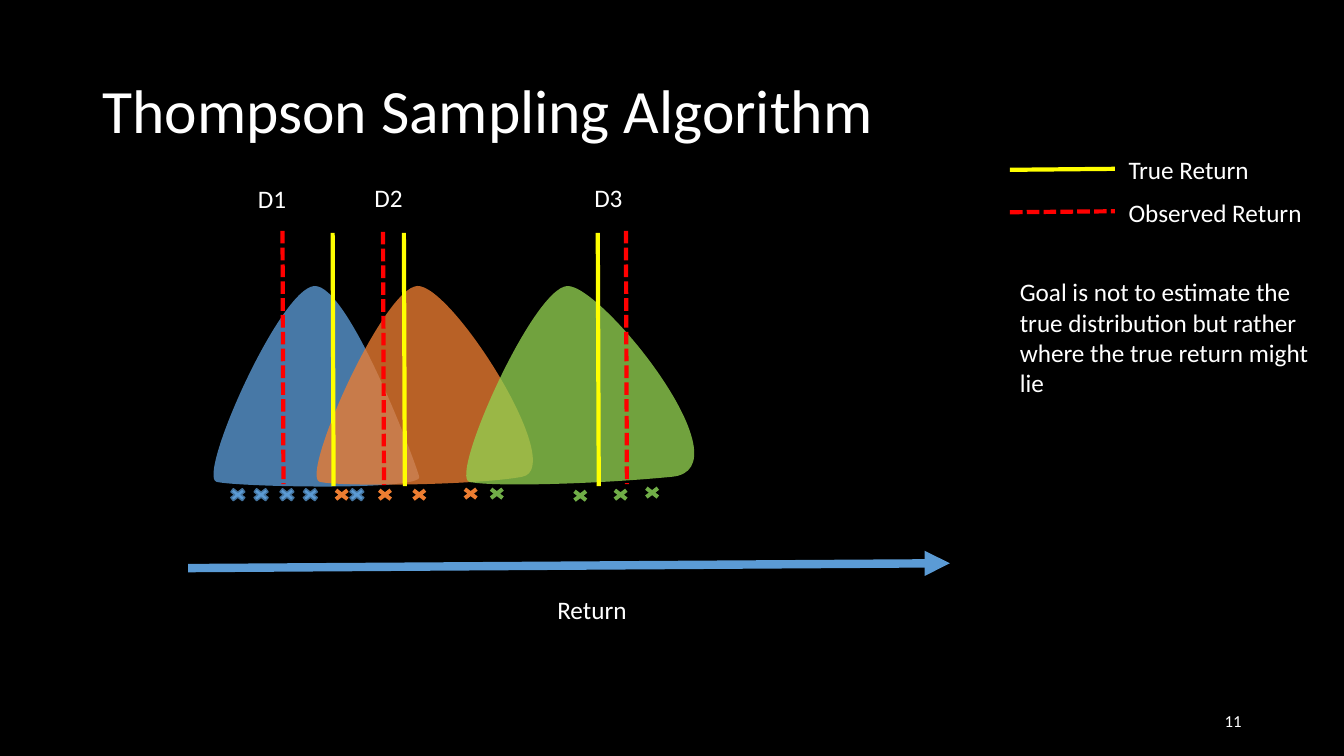
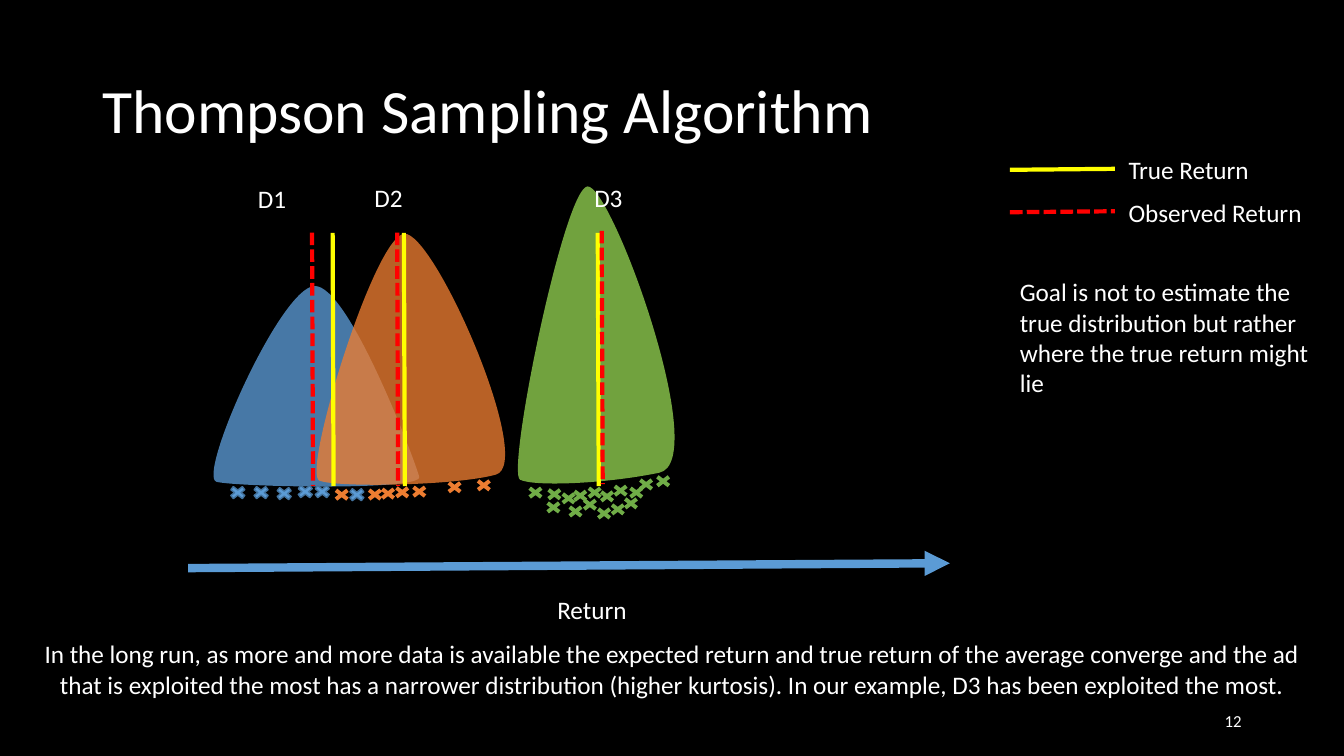
from dataclasses import dataclass
from itertools import pairwise

from lxml.etree import SubElement
from pptx import Presentation
from pptx.dml.color import RGBColor
from pptx.enum.dml import MSO_LINE
from pptx.enum.shapes import MSO_CONNECTOR, MSO_SHAPE
from pptx.enum.text import MSO_ANCHOR, PP_ALIGN
from pptx.oxml.ns import qn
from pptx.util import Pt

COLORS = {
    "background": "000000",
    "text": "FFFFFF",
    "D1": "5B9BD5",
    "D1 outline": "43739E",
    "D2": "ED7D31",
    "D3": "70AD47",
    "D3 hill": "92D050",
    "axis": "5B9BD5",
    "true": "FFFF00",
    "observed": "FF0000",
}
FONT = "Calibri"
HILL_OPACITY = 78
EXTENT_STEPS = 40
CROSS_WIDTH, CROSS_HEIGHT = 15.8, 12.2

TITLE = "Thompson Sampling Algorithm"
GOAL = ("Goal is not to estimate the true distribution but rather "
        "where the true return might lie")
CONCLUSION = (
    "In the long run, as more and more data is available the expected return "
    "and true return of the average converge and the ad that is exploited the "
    "most has a narrower distribution (higher kurtosis). In our example, D3 "
    "has been exploited the most."
)
LABELS = {"D1": (177.1, 127.4), "D2": (260.4, 126.7), "D3": (417.4, 126.7)}
TRUE_RETURNS = (237.6, 288.5, 427)
LEGEND = (("True Return", "true", 106.6, 121.3),
          ("Observed Return", "observed", 137.1, 151.6))


@dataclass
class Stage:
    """State of the three distributions after some rounds of sampling.

    A hill is three smooth nodes (left foot, peak, right foot), each given as
    x, y and the offset of its outgoing curve handle.
    """
    number: str
    hills: dict
    samples: dict
    observed: tuple
    conclusion: str = ""


D1_HILL = ((154.8, 344.2, -14.6, -3.6), (224.6, 204.3, 24.5, -1.4),
           (299.5, 340.6, 2.5, 10.1))

STAGES = (
    Stage(
        number="11",
        hills={
            "D1": D1_HILL,
            "D2": ((228.4, 344.2, -14.6, -3.6), (298.1, 204.3, 24.5, -1.4),
                   (373, 340.6, -33.1, 6.1)),
            "D3": ((335.3, 344.2, -14.6, -3.6), (405.2, 204.3, 24.5, -1.4),
                   (480, 340.6, -55.6, 5.4)),
        },
        samples={
            "D1": ((162, 347.3), (178.6, 347.3), (197.1, 347.3),
                   (213.8, 347.3), (247, 347.3)),
            "D2": ((236.2, 347.3), (267.1, 347.3), (291.6, 347.3),
                   (328.3, 346.5)),
            "D3": ((347, 346.5), (406.6, 348), (435.4, 347.3),
                   (457.9, 345.8)),
        },
        observed=((201.8, 164.9), (273.6, 165.6), (447.1, 164.9)),
    ),
    Stage(
        number="12",
        hills={
            "D1": D1_HILL,
            "D2": ((228.2, 343.4, -13, -5), (288.7, 167, 21.4, -2.2),
                   (354.2, 339.1, -28.8, 7.9)),
            "D3": ((371.5, 342.7, -10.1, -5), (419.6, 133.2, 16.9, -2.2),
                   (470.9, 337.7, -38.2, 7.9)),
        },
        samples={
            "D1": ((162, 345.8), (178.6, 345.8), (195.1, 346.5),
                   (210.2, 345.1), (222.3, 345.1), (247, 347.3)),
            "D2": ((236.2, 347.3), (259.9, 347.2), (269.3, 346.5),
                   (279.4, 345.6), (291.6, 345.1), (316.8, 342),
                   (337.7, 340.6)),
            "D3": ((374.6, 345.8), (388.1, 347), (398.2, 349.9),
                   (406.6, 348), (416.9, 345.8), (425.7, 348.5),
                   (435.4, 344.4), (446.6, 345.8), (453.6, 340),
                   (465.8, 337.7), (442.8, 353.5), (433.4, 357.8),
                   (423.6, 360.7), (413.5, 354.4), (403.2, 359.3),
                   (387.4, 356.4)),
        },
        observed=((222.9, 166.1), (283.7, 166.1), (429.8, 164.9)),
        conclusion=CONCLUSION,
    ),
)


def color(name):
    return RGBColor.from_string(COLORS[name])


def add_text(slide, text, left, top, width, height, size=18,
             align=PP_ALIGN.LEFT, anchor=MSO_ANCHOR.TOP, line_spacing=1.0):
    box = slide.shapes.add_textbox(Pt(left), Pt(top), Pt(width), Pt(height))
    frame = box.text_frame
    frame.word_wrap = True
    frame.vertical_anchor = anchor
    paragraph = frame.paragraphs[0]
    paragraph.alignment = align
    paragraph.line_spacing = line_spacing
    run = paragraph.add_run()
    run.text = text
    run.font.name = FONT
    run.font.size = Pt(size)
    run.font.color.rgb = color("text")


def add_line(slide, start, end, color_name, width=3, arrow=False):
    connector = slide.shapes.add_connector(
        MSO_CONNECTOR.STRAIGHT, *(Pt(value) for value in (*start, *end)))
    line = connector.line
    line.color.rgb = color(color_name)
    line.width = Pt(width)
    if color_name == "observed":
        line.dash_style = MSO_LINE.SQUARE_DOT
    properties = connector.element.spPr
    if arrow:
        SubElement(properties.find(qn("a:ln")), qn("a:tailEnd"),
                   type="triangle")
    SubElement(properties, qn("a:effectLst"))


def cubic_controls(start, end):
    """Return the four control points between two smooth nodes."""
    x0, y0, dx0, dy0 = start
    x3, y3, dx3, dy3 = end
    return (x0, y0), (x0 + dx0, y0 + dy0), (x3 - dx3, y3 - dy3), (x3, y3)


def curve_extent(curves, axis):
    """Return the lowest and highest coordinate that the curves reach."""
    values = []
    for curve in curves:
        a, b, c, d = (point[axis] for point in curve)
        for step in range(EXTENT_STEPS + 1):
            t = step / EXTENT_STEPS
            s = 1 - t
            values.append(a * s**3 + 3 * b * s * s * t
                          + 3 * c * s * t * t + d * t**3)
    return min(values), max(values)


def bend_outline(shape, curves):
    """Replace the straight sides of a freeform by cubic curves."""
    left, right = curve_extent(curves, 0)
    top, bottom = curve_extent(curves, 1)
    shape.left, shape.top = Pt(left), Pt(top)
    shape.width, shape.height = Pt(right - left), Pt(bottom - top)
    outline = next(shape.element.iter(qn("a:path")))
    outline.set("w", str(shape.width))
    outline.set("h", str(shape.height))
    for command in list(outline):
        outline.remove(command)

    def add_command(tag, points):
        command = SubElement(outline, qn(tag))
        for x, y in points:
            SubElement(command, qn("a:pt"),
                       x=str(Pt(x - left)), y=str(Pt(y - top)))

    add_command("a:moveTo", curves[0][:1])
    for curve in curves:
        add_command("a:cubicBezTo", curve[1:])
    add_command("a:close", ())


def add_hill(slide, nodes, color_name):
    corners = [(Pt(x), Pt(y)) for x, y, _, _ in nodes]
    builder = slide.shapes.build_freeform(*corners[0])
    builder.add_line_segments(corners[1:], close=True)
    hill = builder.convert_to_shape()
    bend_outline(hill, [cubic_controls(start, end)
                        for start, end in pairwise((*nodes, nodes[0]))])
    hill.shadow.inherit = False
    hill.fill.solid()
    hill.fill.fore_color.rgb = color(color_name)
    hill.line.fill.background()
    fill_color = hill.element.spPr.find(qn("a:solidFill")).find(qn("a:srgbClr"))
    SubElement(fill_color, qn("a:alpha"), val=str(HILL_OPACITY * 1000))


def add_cross(slide, left, top, name):
    cross = slide.shapes.add_shape(MSO_SHAPE.MATH_MULTIPLY, Pt(left), Pt(top),
                                   Pt(CROSS_WIDTH), Pt(CROSS_HEIGHT))
    cross.shadow.inherit = False
    cross.fill.solid()
    cross.fill.fore_color.rgb = color(name)
    outline = f"{name} outline"
    if outline in COLORS:
        cross.line.color.rgb = color(outline)
        cross.line.width = Pt(1)
    else:
        cross.line.fill.background()


def add_return_line(slide, x, top, color_name):
    add_line(slide, (x, top), (x + 0.7, top + 180.9), color_name)


def add_frame(slide, number):
    """Add what every slide shows around the distributions."""
    add_text(slide, TITLE, 66, 28.8, 828, 104.4, size=44,
             anchor=MSO_ANCHOR.MIDDLE, line_spacing=0.9)
    add_text(slide, number, 678, 500.5, 216, 28.8, size=12,
             align=PP_ALIGN.RIGHT, anchor=MSO_ANCHOR.MIDDLE)
    add_line(slide, (134.4, 405.8), (678.5, 402.3), "axis", 6, arrow=True)
    add_text(slide, "Return", 299.7, 417.3, 246.2, 36,
             align=PP_ALIGN.CENTER, anchor=MSO_ANCHOR.MIDDLE)
    for text, color_name, text_top, line_y in LEGEND:
        add_line(slide, (721.4, line_y), (796.3, line_y - 0.7), color_name)
        add_text(slide, text, 799, text_top, 143.3, 28.8)
    add_text(slide, GOAL, 721.4, 194, 221, 94.3)


def add_distributions(slide, stage):
    for name, nodes in stage.hills.items():
        add_hill(slide, nodes, "D3 hill" if name == "D3" else name)
    for x in TRUE_RETURNS:
        add_return_line(slide, x, 166.3, "true")
    for name, positions in stage.samples.items():
        for left, top in positions:
            add_cross(slide, left, top, name)
    for x, top in stage.observed:
        add_return_line(slide, x, top, "observed")
    for name, (left, top) in LABELS.items():
        add_text(slide, name, left, top, 39.6, 28.8)


def main():
    presentation = Presentation()
    presentation.slide_width, presentation.slide_height = Pt(960), Pt(540)
    background = presentation.slide_master.background.fill
    background.solid()
    background.fore_color.rgb = color("background")
    for stage in STAGES:
        slide = presentation.slides.add_slide(presentation.slide_layouts[6])
        add_frame(slide, stage.number)
        add_distributions(slide, stage)
        if stage.conclusion:
            add_text(slide, stage.conclusion, 17.8, 452.2, 924.5, 51.1,
                     align=PP_ALIGN.CENTER, anchor=MSO_ANCHOR.MIDDLE)
    presentation.save("out.pptx")


if __name__ == "__main__":
    main()
